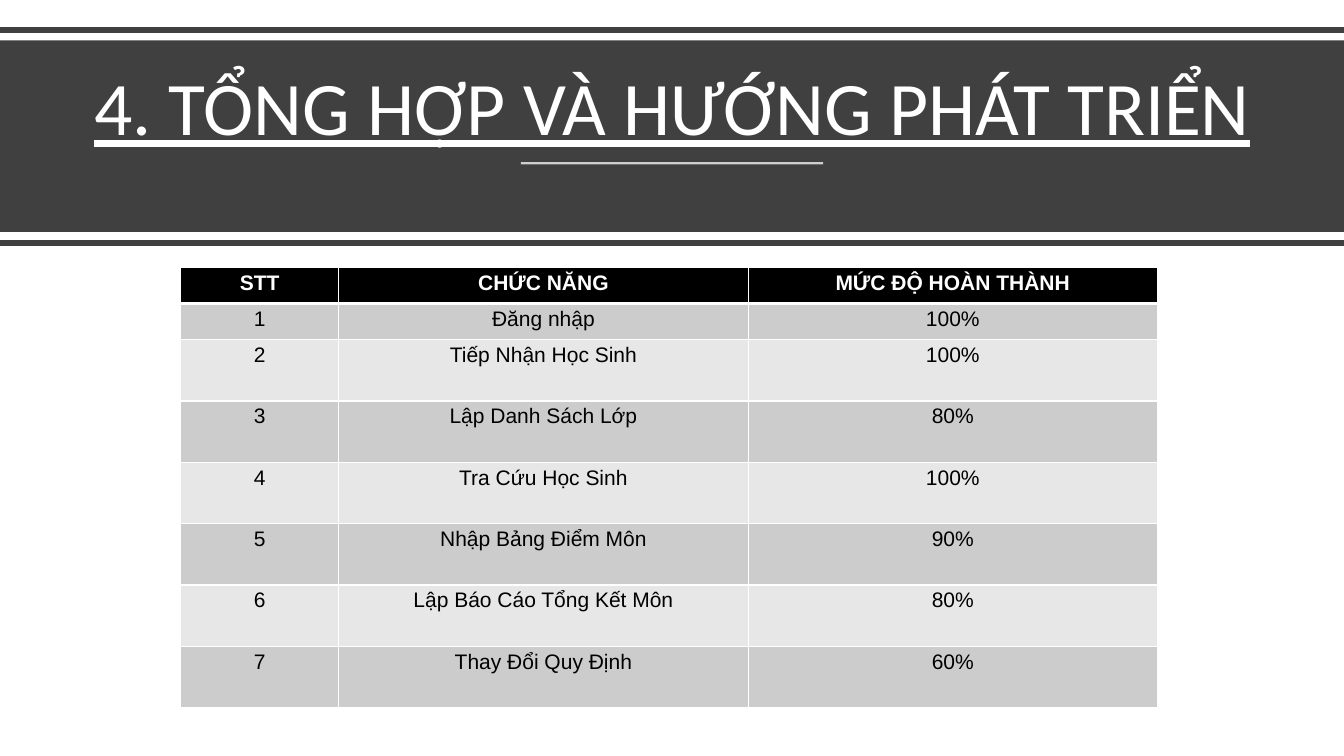
from dataclasses import dataclass

from lxml.etree import SubElement
from pptx import Presentation
from pptx.dml.color import RGBColor
from pptx.enum.shapes import MSO_CONNECTOR, MSO_SHAPE
from pptx.enum.text import MSO_ANCHOR, MSO_AUTO_SIZE, PP_ALIGN
from pptx.oxml import parse_xml
from pptx.oxml.ns import nsdecls, qn
from pptx.util import Inches, Pt


@dataclass(frozen=True)
class Theme:
    dark: str = "404040"
    white: str = "FFFFFF"
    black: str = "000000"
    stripes: tuple = ("CCCCCC", "E7E7E7")
    title_font: str = "Calibri"
    table_font: str = "Arial"
    title_size: int = 54
    table_size: int = 15
    stripe_line: float = 4
    accent_line: float = 1.5
    grid_line: float = 1
    header_line: float = 3


THEME = Theme()
SLIDE_WIDTH, SLIDE_HEIGHT = 13.33, 7.5
HEADINGS = ("STT", "CHỨC NĂNG", "MỨC ĐỘ HOÀN THÀNH")
PROGRESS = (
    ("Đăng nhập", "100%"),
    ("Tiếp Nhận Học Sinh", "100%"),
    ("Lập Danh Sách Lớp", "80%"),
    ("Tra Cứu Học Sinh", "100%"),
    ("Nhập Bảng Điểm Môn", "90%"),
    ("Lập Báo Cáo Tổng Kết Môn", "80%"),
    ("Thay Đổi Quy Định", "60%"),
)


def rgb(value):
    return RGBColor.from_string(value)


def add_rule(slide, left, top, width, color, weight, opacity=100):
    """Draw a horizontal line; opacity is a percentage."""
    rule = slide.shapes.add_connector(
        MSO_CONNECTOR.STRAIGHT,
        Inches(left), Inches(top), Inches(left + width), Inches(top),
    )
    rule.line.color.rgb = rgb(color)
    rule.line.width = Pt(weight)
    if opacity < 100:
        srgb = rule.line._ln.find(".//" + qn("a:srgbClr"))
        SubElement(srgb, qn("a:alpha"), val=str(opacity * 1000))
    SubElement(rule._element.spPr, qn("a:effectLst"))


def add_title_band(slide, text, left, top, width, height):
    """Place a dark band with the title between two stripes on the box edges."""
    add_rule(slide, left, top, width, THEME.dark, THEME.stripe_line)

    band = slide.shapes.add_shape(
        MSO_SHAPE.RECTANGLE,
        Inches(left), Inches(top + 0.1), Inches(width), Inches(height - 0.21),
    )
    band.shadow.inherit = False
    band.fill.solid()
    band.fill.fore_color.rgb = rgb(THEME.dark)
    band.line.fill.background()

    title = slide.shapes.title
    band._element.addnext(title._element)  # bring the title in front of the band
    title.left, title.top = Inches(left + 0.58), Inches(top + 0.24)
    title.width, title.height = Inches(width - 1.15), Inches(1.02)
    frame = title.text_frame
    frame.text = text
    frame.word_wrap = True
    frame.auto_size = MSO_AUTO_SIZE.NONE
    frame.vertical_anchor = MSO_ANCHOR.BOTTOM
    paragraph = frame.paragraphs[0]
    paragraph.alignment = PP_ALIGN.CENTER
    paragraph.line_spacing = 0.9
    font = paragraph.font
    font.name, font.size = THEME.title_font, Pt(THEME.title_size)
    font.color.rgb = rgb(THEME.white)
    font.underline = True

    accent_width = 3
    add_rule(slide, left + (width - accent_width) / 2, top + 1.32, accent_width,
             THEME.white, THEME.accent_line, opacity=75)
    add_rule(slide, left, top + height, width, THEME.dark, THEME.stripe_line)


def set_borders(cell, top, bottom):
    """Draw white cell borders, with the top and bottom weights in points."""
    weights = {"lnL": THEME.grid_line, "lnR": THEME.grid_line,
               "lnT": top, "lnB": bottom}
    properties = cell._tc.get_or_add_tcPr()
    for index, (side, weight) in enumerate(weights.items()):
        properties.insert(index, parse_xml(
            f'<a:{side} {nsdecls("a")} w="{Pt(weight)}"><a:solidFill>'
            f'<a:srgbClr val="{THEME.white}"/></a:solidFill></a:{side}>'
        ))


def format_cell(cell, text, row):
    is_header = row == 0
    cell.text = text
    cell.margin_left = cell.margin_right = Inches(0.08)
    cell.margin_top = cell.margin_bottom = Inches(0.04)
    cell.fill.solid()
    cell.fill.fore_color.rgb = rgb(
        THEME.black if is_header else THEME.stripes[(row - 1) % 2])
    paragraph = cell.text_frame.paragraphs[0]
    paragraph.alignment = PP_ALIGN.CENTER
    font = paragraph.font
    font.name, font.size, font.bold = THEME.table_font, Pt(THEME.table_size), is_header
    font.color.rgb = rgb(THEME.white if is_header else THEME.black)
    set_borders(cell,
                top=THEME.header_line if row == 1 else THEME.grid_line,
                bottom=THEME.header_line if is_header else THEME.grid_line)


def add_progress_table(slide, left, top, width, height):
    rows = [HEADINGS] + [(str(number), *entry)
                         for number, entry in enumerate(PROGRESS, 1)]
    table = slide.shapes.add_table(
        len(rows), len(HEADINGS),
        Inches(left), Inches(top), Inches(width), Inches(height),
    ).table

    number_width = 1.57
    text_width = (width - number_width) / 2
    for column, column_width in zip(table.columns,
                                    (number_width, text_width, text_width)):
        column.width = Inches(column_width)

    short_rows, short_height = 2, 0.36
    tall_height = (height - short_rows * short_height) / (len(rows) - short_rows)
    for row, values in enumerate(rows):
        table.rows[row].height = Inches(
            short_height if row < short_rows else tall_height)
        for column, text in enumerate(values):
            format_cell(table.cell(row, column), text, row)


def main():
    presentation = Presentation()
    presentation.slide_width = Inches(SLIDE_WIDTH)
    presentation.slide_height = Inches(SLIDE_HEIGHT)
    title_only = presentation.slide_layouts[5]
    slide = presentation.slides.add_slide(title_only)
    add_title_band(slide, "4. TỔNG HỢP VÀ HƯỚNG PHÁT TRIỂN",
                   left=0, top=0.3, width=SLIDE_WIDTH, height=2.11)
    add_progress_table(slide, left=1.79, top=2.65, width=9.69, height=4.37)
    presentation.save("out.pptx")


if __name__ == "__main__":
    main()
